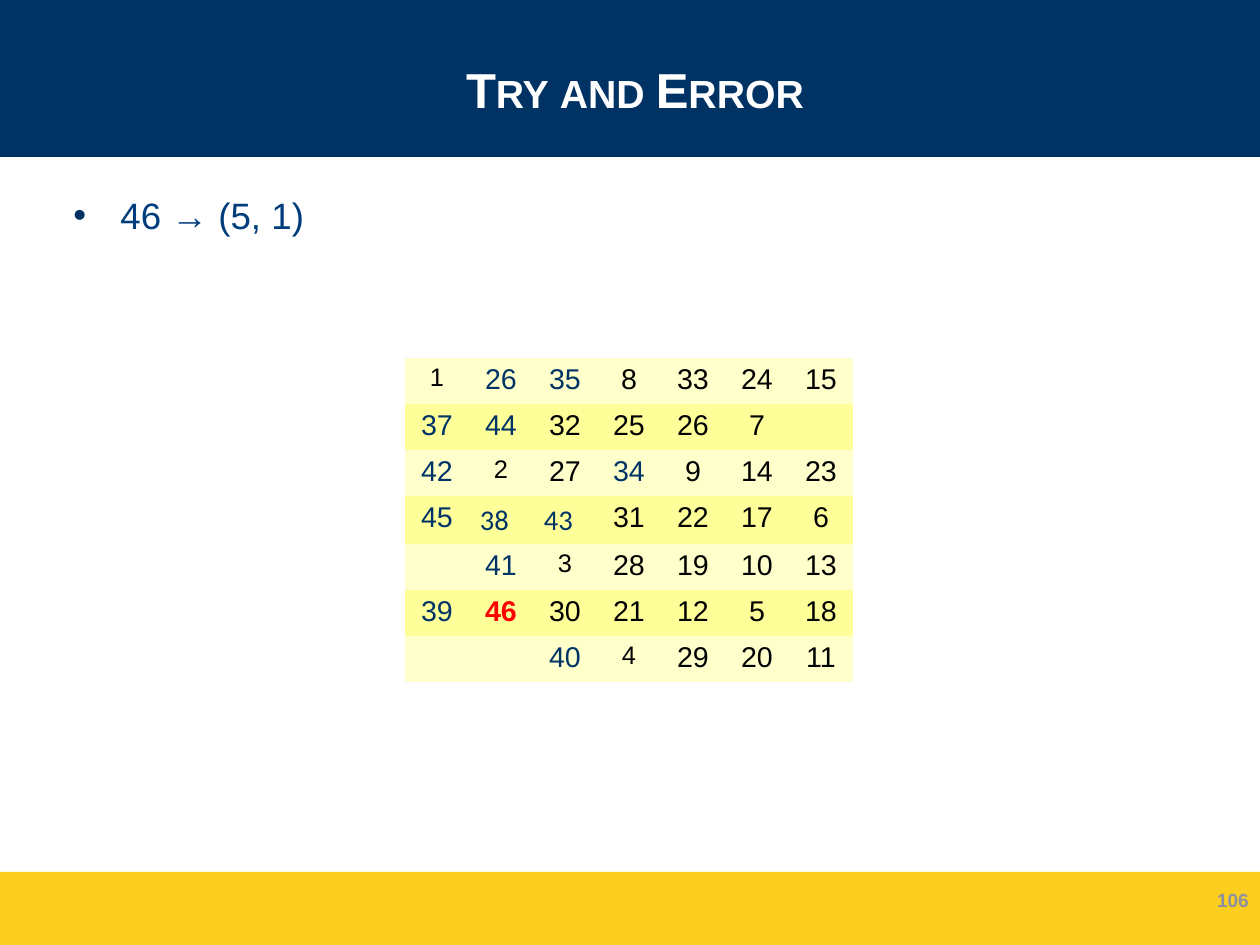
import pptx
import pptx.dml.color
import pptx.enum.shapes
import pptx.enum.text
import pptx.oxml.ns
import pptx.util
from lxml import etree

PX = 8000
WIDE, HIGH = 1260, 945
NAVY, GOLD, WHITE = "003264", "FBCE20", "FFFFFF"
BLUE, BLACK, RED = "003366", "000000", "FF0000"
BANDS = "FFFFCC", "FFFF99"
ALIGN = pptx.enum.text.PP_ALIGN
MIDDLE = pptx.enum.text.MSO_ANCHOR.MIDDLE
GRID = [
    [1, 26, 35, 8, 33, 24, 15],
    [37, 44, 32, 25, 26, 7, None],
    [42, 2, 27, 34, 9, 14, 23],
    [45, 38, 43, 31, 22, 17, 6],
    [None, 41, 3, 28, 19, 10, 13],
    [39, 46, 30, 21, 12, 5, 18],
    [None, None, 40, 4, 29, 20, 11],
]


def color(code):
    """Turn a hex string into a colour."""
    return pptx.dml.color.RGBColor.from_string(code)


def add(parent, tag, **attrs):
    """Append a DrawingML element."""
    return etree.SubElement(parent, pptx.oxml.ns.qn(tag), **attrs)


def place(shape, box):
    """Move a shape to a box in px."""
    shape.left, shape.top, shape.width, shape.height = (n * PX for n in box)


def write(frame, text, size=18, code=BLACK, bold=False, face="Arial",
          align=ALIGN.CENTER, lines=None):
    """Write one formatted paragraph and return it."""
    para = frame.paragraphs[0]
    para.alignment = align
    if lines:
        para.line_spacing = lines
    run = para.add_run()
    run.text = text
    run.font.size = pptx.util.Pt(size)
    run.font.name = face
    run.font.bold = bold
    run.font.color.rgb = color(code)
    return para


def bar(slide, box, code):
    """Draw a plain band behind the title."""
    kind = pptx.enum.shapes.MSO_SHAPE.RECTANGLE
    shape = slide.shapes.add_shape(kind, *(n * PX for n in box))
    shape.shadow.inherit = False
    shape.fill.solid()
    shape.fill.fore_color.rgb = color(code)
    shape.line.fill.background()
    slide.shapes.title.element.addprevious(shape.element)


def head(slide, box):
    """Fill the title in small capitals."""
    title = slide.shapes.title
    place(title, box)
    frame = title.text_frame
    frame.vertical_anchor = MIDDLE
    frame.auto_size = pptx.enum.text.MSO_AUTO_SIZE.NONE
    para = write(frame, "Try and Error", size=30.9, code=WHITE, bold=True)
    para.runs[0].font._element.set("cap", "small")


def body(slide, box):
    """Fill the bulleted list."""
    hold = slide.placeholders[1]
    place(hold, box)
    para = write(hold.text_frame, "46 → (5, 1)", size=23.1, code="003D7C",
                 align=ALIGN.LEFT)
    props = para._p.get_or_add_pPr()
    props.set("marL", str(47 * PX))
    props.set("indent", str(-47 * PX))
    add(add(props, "a:spcBef"), "a:spcPct", val="20000")
    add(add(props, "a:buClr"), "a:srgbClr", val=NAVY)
    add(props, "a:buFont", typeface="Arial")
    add(props, "a:buChar", char="•")


def page(slide, box):
    """Write the page number."""
    note = slide.shapes.add_textbox(*(n * PX for n in box))
    note.text_frame.word_wrap = True
    note.text_frame.vertical_anchor = MIDDLE
    write(note.text_frame, "106", size=12, code="8C90A0", bold=True,
          align=ALIGN.RIGHT, lines=0.93)


def style(value, row, col):
    """Choose the format of a number in the square."""
    if value in (38, 43):
        return dict(code=BLUE, face="Calibri", align=ALIGN.LEFT)
    look = dict(code=BLACK, lines=0.93)
    if value <= 4:
        look.update(size=16)
    elif value == 46:
        look.update(code=RED, bold=True)
    elif value >= 34 or (row, col) == (0, 1):
        look.update(code=BLUE)
    return look


def trim(cell, code):
    """Set margins, thin borders and fill of a cell."""
    cell.margin_left = cell.margin_right = 11 * PX
    cell.margin_top, cell.margin_bottom = 8 * PX, 6 * PX
    props = cell._tc.get_or_add_tcPr()
    for side in "LRTB":
        line = add(props, "a:ln" + side, w="381")
        add(add(line, "a:solidFill"), "a:srgbClr", val=WHITE)
    cell.fill.solid()
    cell.fill.fore_color.rgb = color(code)


def square(slide, box):
    """Build the number square in equal columns."""
    rows, cols = len(GRID), len(GRID[0])
    frame = slide.shapes.add_table(rows, cols, *(n * PX for n in box))
    table = frame.table
    table.first_row = table.horz_banding = False
    for row, values in enumerate(GRID):
        for col, value in enumerate(values):
            cell = table.cell(row, col)
            trim(cell, BANDS[row % 2])
            if value is None:
                add(cell.text_frame.paragraphs[0]._p, "a:endParaRPr", sz="1000")
            else:
                write(cell.text_frame, str(value), **style(value, row, col))


def main():
    """Build and save the slide."""
    deck = pptx.Presentation()
    deck.slide_width, deck.slide_height = WIDE * PX, HIGH * PX
    slide = deck.slides.add_slide(deck.slide_layouts[1])
    bar(slide, (0, 872, WIDE, 73), GOLD)
    bar(slide, (0, 0, WIDE, 157), NAVY)
    bar(slide, (0, 159, WIDE, 55), WHITE)
    head(slide, (62, 21, 1146, 136))
    body(slide, (62, 187, 1146, 689))
    page(slide, (966, 876, 294, 50))
    square(slide, (405, 358, 448, 280))
    deck.save("out.pptx")


if __name__ == "__main__":
    main()
